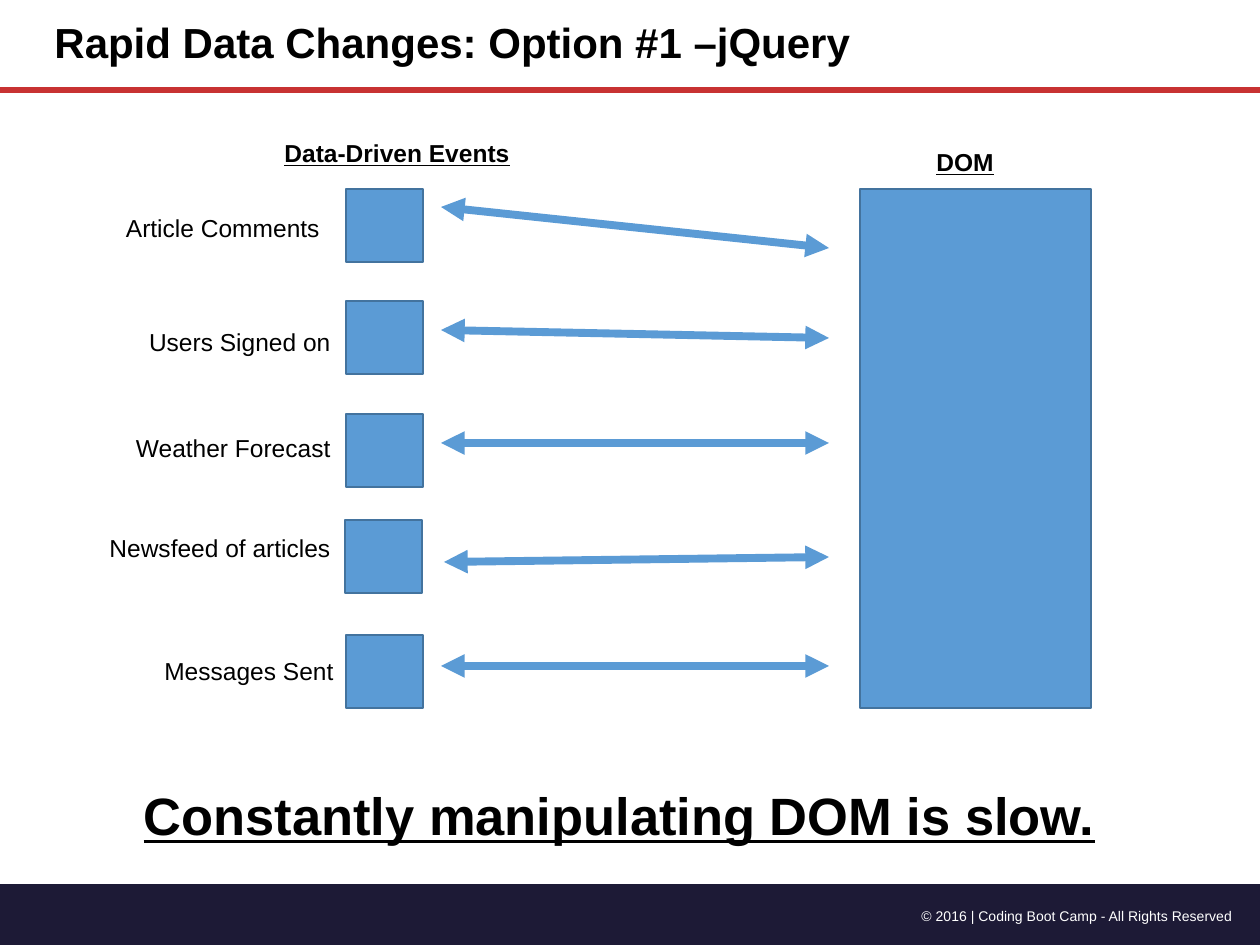
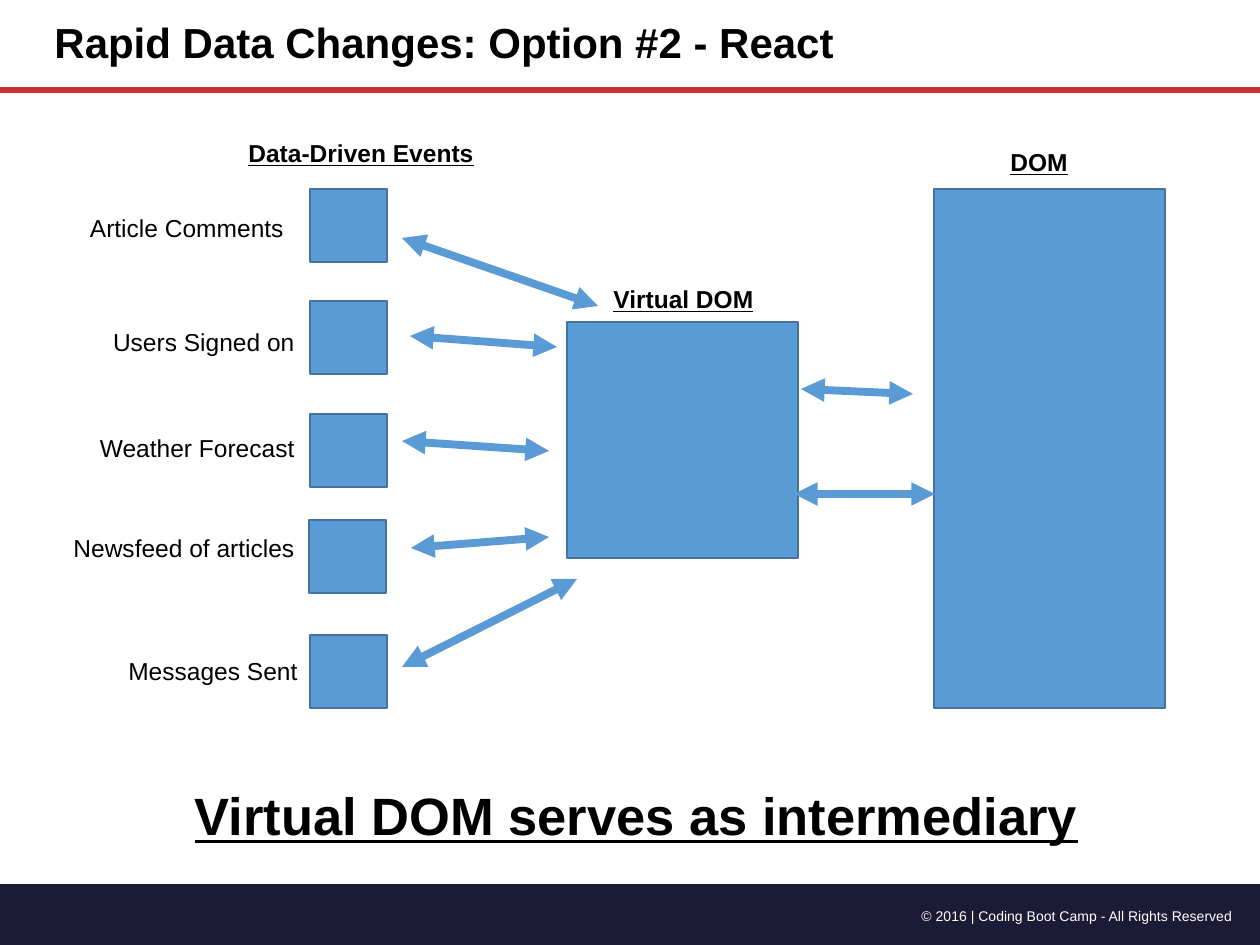
import pptx
import pptx.dml.color
import pptx.enum.shapes
import pptx.enum.text
import pptx.oxml.ns
import pptx.oxml.xmlchemy
import pptx.util

SHAPE = pptx.enum.shapes.MSO_SHAPE
ALIGN = pptx.enum.text.PP_ALIGN
ANCHOR = pptx.enum.text.MSO_ANCHOR
AUTO_SIZE = pptx.enum.text.MSO_AUTO_SIZE

SLIDE_W, SLIDE_H = 1260, 945
EMU_PER_PX = 914400 / 126

COLORS = {
    "ink": "000000",
    "paper": "FFFFFF",
    "rule": "C83232",
    "footer": "1D1A36",
    "block": "5B9BD5",
    "block_edge": "43739E",
}
FONT = "Arial"
STYLES = {
    "title": {"size": 24, "bold": True},
    "heading": {"size": 14, "bold": True, "underline": True},
    "event": {"size": 14},
    "takeaway": {"size": 30, "bold": True, "underline": True},
    "copyright": {"size": 8},
}

COPYRIGHT = "© 2016 | Coding Boot Camp - All Rights Reserved"

# label, label top, label right edge and block left (from the block column), block top
EVENTS = [
    ("Article Comments ", 207, -7, 0, 189),
    ("Users Signed on", 321, -3, 0, 301),
    ("Weather Forecast", 427, -3, 0, 414),
    ("Newsfeed of articles", 527, -3, -1, 520),
    ("Messages Sent", 650, 0, 0, 635),
]
EVENT_W, EVENT_H = 77, 73
EVENT_LABEL_W = 307
LABEL_H = 43
STORE_W = 231
DOM_TOP, DOM_H = 189, 519

SLIDES = [
    {
        "title": "Rapid Data Changes: Option #1 –jQuery",
        "events_left": 346,
        "dom_left": 860,
        "virtual_dom": None,
        "arrows": [
            (441, 207, 829, 248),
            (441, 330, 829, 338),
            (441, 443, 829, 443),
            (444, 562, 829, 557),
            (441, 666, 829, 666),
        ],
        "takeaway": ("Constantly manipulating DOM is slow.", 42, 1155),
    },
    {
        "title": "Rapid Data Changes: Option #2 - React",
        "events_left": 310,
        "dom_left": 934,
        "virtual_dom": (567, 322, 236),
        "arrows": [
            (402, 238, 598, 306),
            (410, 336, 557, 347),
            (402, 441, 549, 451),
            (411, 548, 549, 537),
            (402, 667, 577, 579),
            (801, 389, 913, 394),
            (794, 494, 935, 494),
        ],
        "takeaway": ("Virtual DOM serves as intermediary", 151, 971),
    },
]


def px(*lengths):
    return [pptx.util.Emu(round(length * EMU_PER_PX)) for length in lengths]


def rgb(name):
    return pptx.dml.color.RGBColor.from_string(COLORS[name])


def add_text(slide, text, box, style, align=ALIGN.LEFT, color="ink"):
    frame = slide.shapes.add_textbox(*px(*box)).text_frame
    frame.word_wrap = True
    frame.auto_size = AUTO_SIZE.SHAPE_TO_FIT_TEXT
    paragraph = frame.paragraphs[0]
    paragraph.alignment = align
    run = paragraph.add_run()
    run.text = text
    for key, value in STYLES[style].items():
        setattr(run.font, key, pptx.util.Pt(value) if key == "size" else value)
    run.font.name = FONT
    run.font.color.rgb = rgb(color)
    return frame


def add_block(slide, box, fill="block", edge="block_edge", kind=SHAPE.RECTANGLE):
    block = slide.shapes.add_shape(kind, *px(*box))
    block.shadow.inherit = False
    block.fill.solid()
    block.fill.fore_color.rgb = rgb(fill)
    if edge:
        block.line.color.rgb = rgb(edge)
        block.line.width = pptx.util.Pt(1)
    else:
        block.line.fill.background()


def add_line(slide, ends, color, weight, arrowheads=()):
    connector = slide.shapes.add_connector(
        pptx.enum.shapes.MSO_CONNECTOR.STRAIGHT, *px(*ends))
    connector.line.color.rgb = rgb(color)
    connector.line.width = pptx.util.Pt(weight)
    properties = connector.element.spPr
    for end in arrowheads:
        head = pptx.oxml.xmlchemy.OxmlElement(end)
        head.set("type", "triangle")
        properties.find(pptx.oxml.ns.qn("a:ln")).append(head)
    properties.append(pptx.oxml.xmlchemy.OxmlElement("a:effectLst"))


def add_frame(slide, title):
    """Draw what every slide shares: footer band, copyright, rule and title."""
    add_block(slide, (0, 884, SLIDE_W, SLIDE_H - 884), "footer", None,
              SHAPE.FLOWCHART_PROCESS)
    add_text(slide, COPYRIGHT, (861, 901, 384, 30), "copyright",
             ALIGN.RIGHT, "paper")
    add_line(slide, (0, 90, SLIDE_W, 90), "rule", 3.25)
    frame = add_text(slide, title, (42, 0, 1102, 90), "title")
    frame.auto_size = AUTO_SIZE.NONE
    frame.vertical_anchor = ANCHOR.MIDDLE
    frame.paragraphs[0].line_spacing = 0.9


def add_events(slide, left):
    add_text(slide, "Data-Driven Events", (left - 74, 132, 257, LABEL_H), "heading")
    for label, label_top, label_right, shift, top in EVENTS:
        add_block(slide, (left + shift, top, EVENT_W, EVENT_H))
        label_left = left + label_right - EVENT_LABEL_W
        add_text(slide, label, (label_left, label_top, EVENT_LABEL_W, LABEL_H),
                 "event", ALIGN.RIGHT)


def add_store(slide, name, left, top, height, heading):
    """Draw a DOM block; heading gives its shift right, rise and width."""
    shift, rise, width = heading
    add_block(slide, (left, top, STORE_W, height))
    add_text(slide, name, (left + shift, top - rise, width, LABEL_H), "heading")


def build_slide(deck, content):
    slide = deck.slides.add_slide(deck.slide_layouts[6])
    add_frame(slide, content["title"])
    add_events(slide, content["events_left"])
    add_store(slide, "DOM", content["dom_left"], DOM_TOP, DOM_H, (64, 48, 142))
    if content["virtual_dom"]:
        add_store(slide, "Virtual DOM", *content["virtual_dom"], (34, 44, 179))
    for ends in content["arrows"]:
        add_line(slide, ends, "block", 4.5, ("a:headEnd", "a:tailEnd"))
    takeaway, left, width = content["takeaway"]
    add_text(slide, takeaway, (left, 777, width, 77), "takeaway", ALIGN.CENTER)


def main():
    deck = pptx.Presentation()
    deck.slide_width, deck.slide_height = px(SLIDE_W, SLIDE_H)
    for content in SLIDES:
        build_slide(deck, content)
    deck.save("out.pptx")


if __name__ == "__main__":
    main()
